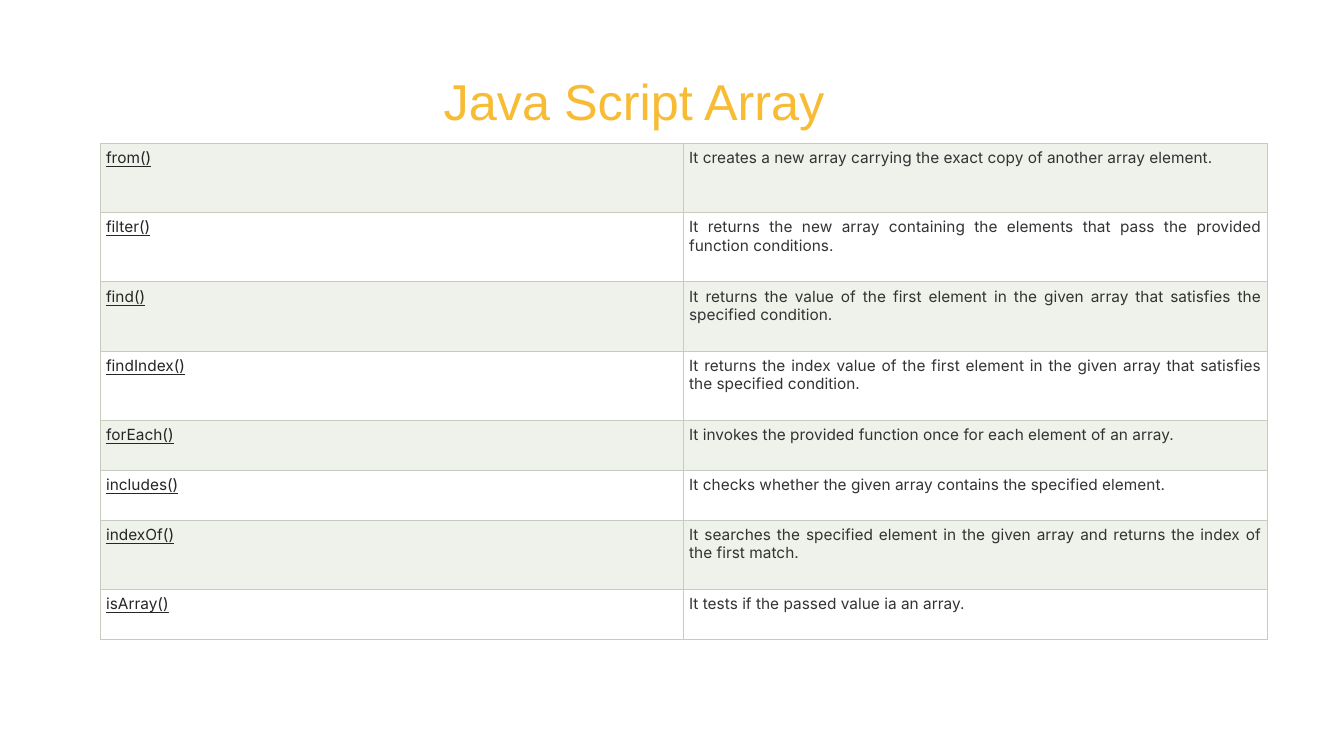
"""Build a slide with a table of JavaScript array methods."""
import dataclasses

import lxml.etree
import pptx
import pptx.dml.color
import pptx.enum.text
import pptx.oxml.ns
import pptx.util

Pt = pptx.util.Pt
Align = pptx.enum.text.PP_ALIGN
Anchor = pptx.enum.text.MSO_ANCHOR


@dataclasses.dataclass(frozen=True)
class Theme:
    title: str = "F7BB34"
    method: str = "262626"
    description: str = "333333"
    border: str = "C7CCBE"
    white: str = "FFFFFF"
    bands: tuple = ("EFF1EB", "FFFFFF")
    title_font: str = "Arial"
    table_font: str = "Inter"
    title_size: float = 36
    table_size: float = 11


theme = Theme()


def write(frame, text, *, font, size, color, align, underline=False, spacing=1.0):
    para = frame.paragraphs[0]
    para.alignment = align
    para.line_spacing = spacing
    span = para.add_run()
    span.text = text
    span.font.name = font
    span.font.size = Pt(size)
    span.font.underline = underline
    span.font.color.rgb = pptx.dml.color.RGBColor.from_string(color)


def add_borders(cell, color, width):
    properties = cell._tc.get_or_add_tcPr()
    for side in ("a:lnL", "a:lnR", "a:lnT", "a:lnB"):
        line = lxml.etree.SubElement(properties, pptx.oxml.ns.qn(side), w=str(Pt(width)))
        fill = lxml.etree.SubElement(line, pptx.oxml.ns.qn("a:solidFill"))
        lxml.etree.SubElement(fill, pptx.oxml.ns.qn("a:srgbClr"), val=color)


deck = pptx.Presentation()
deck.slide_width, deck.slide_height = Pt(960), Pt(540)
page = deck.slides.add_slide(deck.slide_layouts.get_by_name("Title Only"))

title = page.shapes.title
title.left, title.top, title.width, title.height = Pt(46), Pt(47.5), Pt(814), Pt(54)
title.fill.solid()
title.fill.fore_color.rgb = pptx.dml.color.RGBColor.from_string(theme.white)
frame = title.text_frame
frame.word_wrap = True
frame.auto_size = pptx.enum.text.MSO_AUTO_SIZE.NONE
frame.vertical_anchor = Anchor.MIDDLE
frame.margin_left = frame.margin_right = frame.margin_top = frame.margin_bottom = Pt(9)
write(frame, "Java Script Array", font=theme.title_font, size=theme.title_size,
      color=theme.title, align=Align.CENTER, spacing=0.9)

tall, short = 49.5, 35.6
methods = [
    ("from()", "It creates a new array carrying the exact copy of another array element.", tall),
    ("filter()", "It returns the new array containing the elements that pass the provided "
     "function conditions.", tall),
    ("find()", "It returns the value of the first element in the given array that satisfies "
     "the specified condition.", tall),
    ("findIndex()", "It returns the index value of the first element in the given array that "
     "satisfies the specified condition.", tall),
    ("forEach()", "It invokes the provided function once for each element of an array.", short),
    ("includes()", "It checks whether the given array contains the specified element.", short),
    ("indexOf()", "It searches the specified element in the given array and returns the index "
     "of the first match.", tall),
    ("isArray()", "It tests if the passed value ia an array.", short),
]

total_height = sum(height for name, description, height in methods)
table = page.shapes.add_table(len(methods), 2, Pt(72), Pt(102.3), Pt(833), Pt(total_height)).table
table.first_row = table.horz_banding = False

for index, (name, description, height) in enumerate(methods):
    table.rows[index].height = Pt(height)
    band = pptx.dml.color.RGBColor.from_string(theme.bands[index % 2])
    columns = ((name, theme.method, True), (description, theme.description, False))
    for column, (text, color, underline) in enumerate(columns):
        cell = table.cell(index, column)
        add_borders(cell, theme.border, 0.75)
        cell.fill.solid()
        cell.fill.fore_color.rgb = band
        cell.vertical_anchor = Anchor.TOP
        cell.margin_left = cell.margin_right = cell.margin_top = cell.margin_bottom = Pt(3.75)
        write(cell.text_frame, text, font=theme.table_font, size=theme.table_size,
              color=color, align=Align.JUSTIFY, underline=underline)

deck.save("out.pptx")
